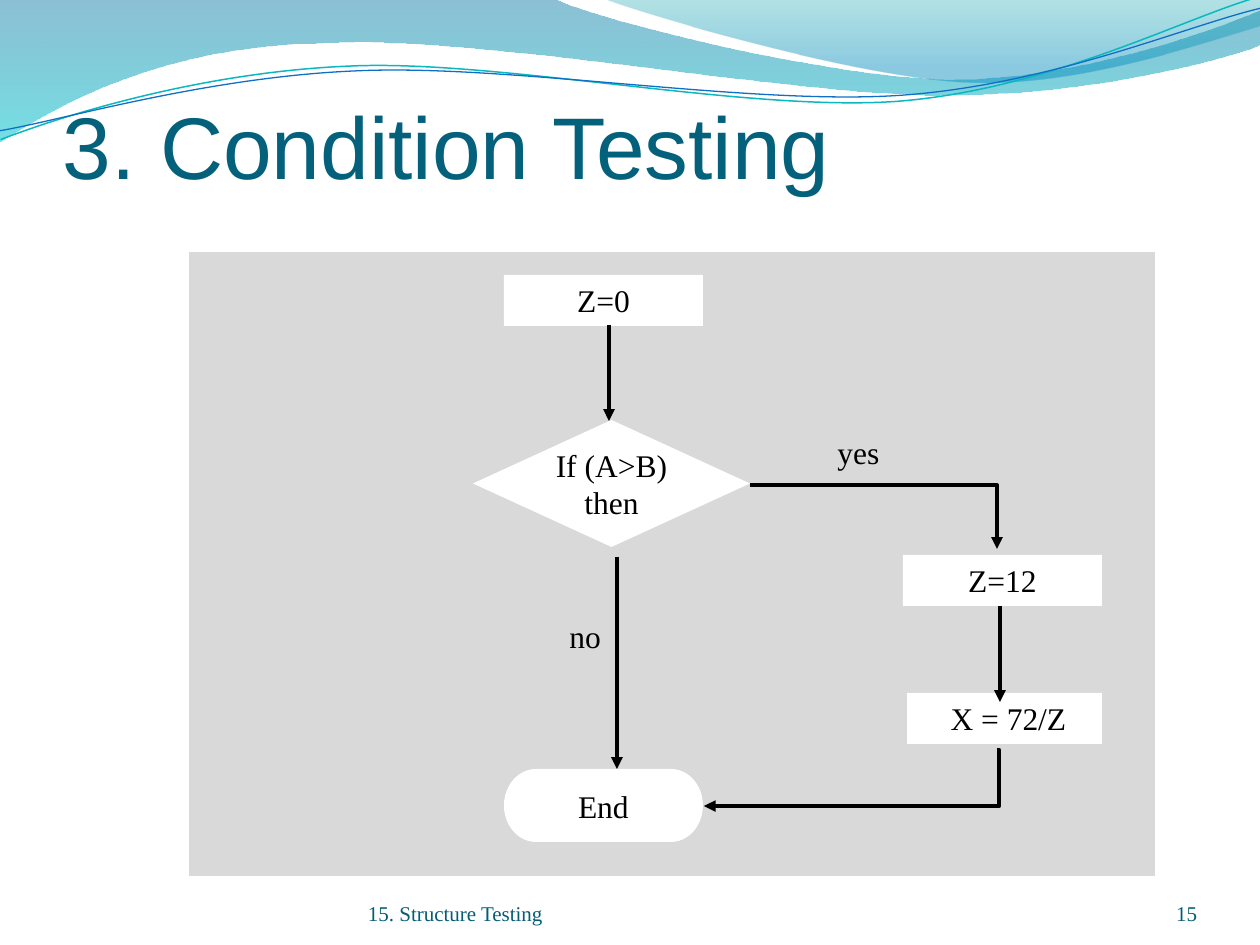
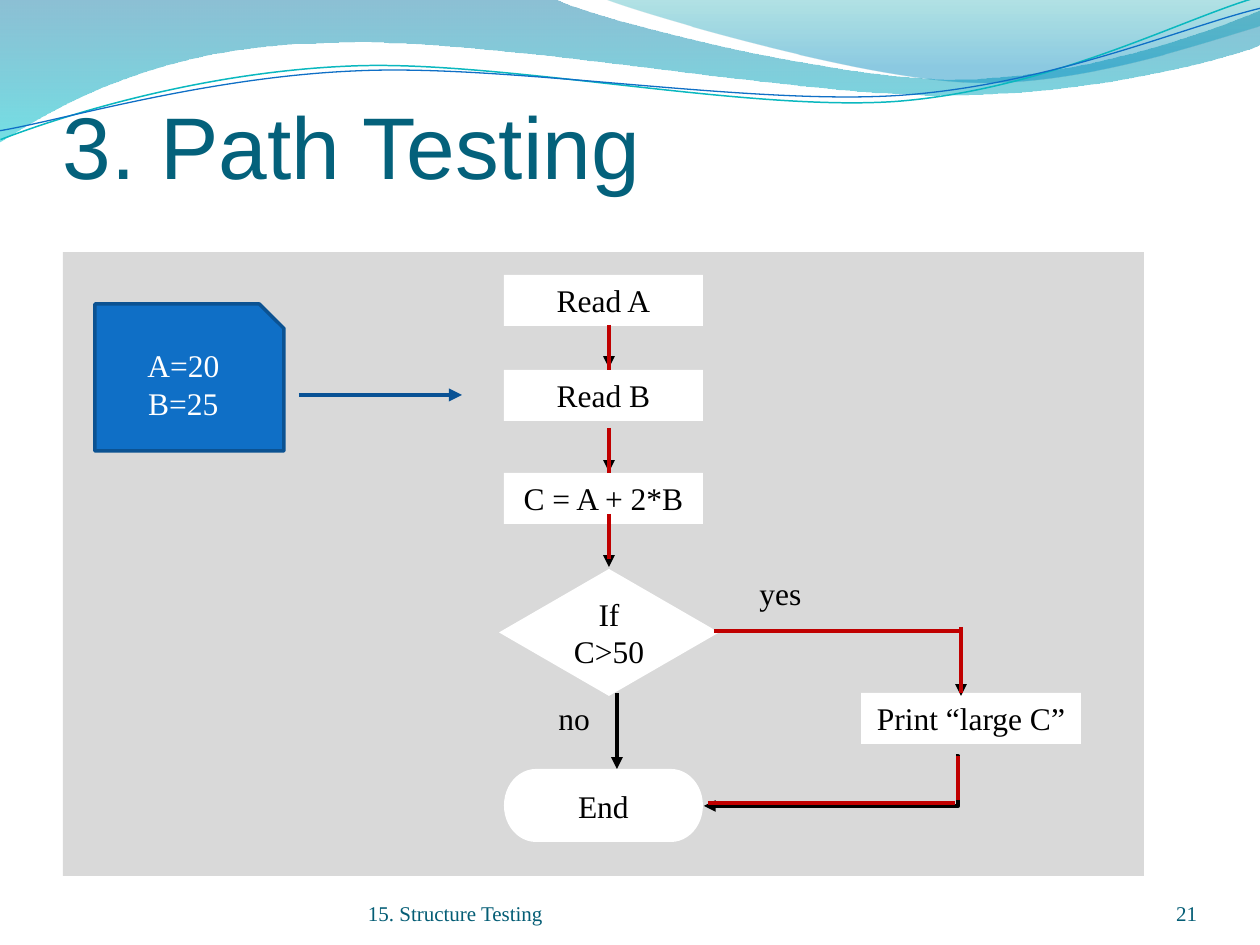
from typing import NamedTuple

from lxml.etree import SubElement
from pptx import Presentation
from pptx.dml.color import RGBColor
from pptx.enum.shapes import MSO_CONNECTOR, MSO_SHAPE
from pptx.enum.text import MSO_ANCHOR, MSO_AUTO_SIZE, PP_ALIGN
from pptx.oxml.ns import qn
from pptx.shapes.autoshape import Shape
from pptx.slide import Slide
from pptx.util import Emu, Pt

PX_PER_INCH = 126
EMU_PER_PX = 914400 / PX_PER_INCH
PAGE_WIDTH, PAGE_HEIGHT = 1260, 945
LINE_TILT = 357.3
HEADING_FONT, BODY_FONT = "Arial", "Times New Roman"
FLOW_LEFT, FLOW_WIDTH, STEP_HEIGHT = 504, 199, 51
FLOW_AXIS = 609
COLORS = {
    "title": "04617B", "footer": "045D75", "panel": "D9D9D9", "node": "FFFFFF",
    "ink": "000000", "covered": "C00000", "card": "0F6FC6", "card edge": "0B5292",
    "input arrow": "095295", "teal line": "0AB8BF", "blue line": "0F6FC6",
    "deep blue": "0074A1", "cyan": "00C6CF", "teal": "00A1A9", "sky": "008BBF",
}


class Area(NamedTuple):
    """A rectangle in px."""
    left: int
    top: int
    width: int
    height: int


class Style(NamedTuple):
    """The look of a piece of text."""
    size: int = 18
    color: str = "ink"
    font: str = BODY_FONT
    align: PP_ALIGN = PP_ALIGN.LEFT


class Stop(NamedTuple):
    """A gradient stop, with opacity in percent."""
    position: float
    color: str
    opacity: int


class Wave(NamedTuple):
    """A header outline: two-number segments are lines, six-number ones are curves."""
    start: tuple[int, int]
    segments: list[tuple[int, ...]]
    stops: tuple[Stop, ...] = ()
    line: str = ""
    weight: float = 0


class Node(NamedTuple):
    """A filled flowchart shape."""
    lines: tuple[str, ...]
    area: Area
    kind: MSO_SHAPE = MSO_SHAPE.RECTANGLE
    fill: str = "node"
    ink: str = "ink"
    edge: str = ""


class Link(NamedTuple):
    """A connector; a bend, in thousandths of its width, makes it an elbow."""
    start: tuple[int, int]
    end: tuple[int, int]
    color: str = "ink"
    weight: float = 2.25
    arrow: bool = True
    bend: int | None = None


class Label(NamedTuple):
    """A branch label beside a link."""
    text: str
    area: Area


class Flowchart(NamedTuple):
    """The content of one slide."""
    title: str
    number: int
    panel: Area
    nodes: list[Node]
    links: list[Link]
    labels: list[Label]


def step(text: str, top: int, left: int = FLOW_LEFT, width: int = FLOW_WIDTH) -> Node:
    """Return a one-line step box."""
    return Node((text,), Area(left, top, width, STEP_HEIGHT))


def decision(text: str, area: Area) -> Node:
    """Return a decision diamond."""
    return Node((text,), area, MSO_SHAPE.DIAMOND)


def down(axis: int, top: int, bottom: int) -> Link:
    """Return a black arrow pointing down."""
    return Link((axis, top), (axis, bottom))


def covered(start: tuple[int, int], end: tuple[int, int]) -> Link:
    """Return a red stretch of the tested route."""
    return Link(start, end, "covered", arrow=False)


WAVES = [
    Wave((-1, -1), [
        (554, -1), (600, 21, 837, 79, 955, 79), (1075, 79, 1207, 33, 1260, 11),
        (1261, 45), (1239, 55, 1096, 96, 940, 95), (784, 95, 481, 35, 324, 43),
        (163, 45, 58, 105, -1, 142), (-1, -1),
    ], (Stop(0, "deep blue", 45), Stop(1, "cyan", 55))),
    Wave((604, -1), [
        (641, 14, 859, 78, 969, 82), (1079, 87, 1211, 40, 1260, 26), (1260, 0),
        (604, -1),
    ], (Stop(0, "teal", 30), Stop(0.8, "sky", 45))),
    Wave((-2, 110), [
        (58, 90, 199, 52, 350, 53), (499, 53, 745, 118, 896, 114),
        (1049, 109, 1184, 45, 1260, 27),
    ], line="teal line", weight=0.85),
    Wave((-2, 101), [
        (58, 94, 207, 57, 357, 58), (509, 58, 751, 112, 902, 108),
        (1052, 104, 1188, 52, 1263, 38),
    ], line="blue line", weight=0.75),
]

END = Node(("End",), Area(FLOW_LEFT, 769, FLOW_WIDTH, 73), MSO_SHAPE.FLOWCHART_TERMINATOR)

FLOWCHARTS = [
    Flowchart(
        "3. Condition Testing", 15, Area(189, 252, 966, 624),
        [
            step("Z=0", 275), step(" X = 72/Z", 693, 907, 195),
            decision("If (A>B) then", Area(473, 420, 277, 127)), END,
            step("Z=12", 555, 903),
        ],
        [
            down(617, 557, 769), down(FLOW_AXIS, 325, 421), down(1000, 606, 702),
            Link((750, 485), (997, 549), bend=1000),
            Link((997, 750), (704, 806), bend=-8),
        ],
        [Label("yes", Area(825, 427, 82, 50)), Label("no", Area(557, 611, 73, 50))],
    ),
    Flowchart(
        "3. Path Testing", 21, Area(63, 252, 1081, 624),
        [
            step("Read A", 275), step("Read B", 370), step("C = A + 2*B", 473),
            step("Print “large C”", 693, 861, 220),
            decision("If C>50", Area(499, 569, 220, 127)), END,
            Node(("A=20", "B=25"), Area(95, 304, 189, 147),
                 MSO_SHAPE.SNIP_1_RECTANGLE, "card", "node", "card edge"),
        ],
        [
            down(617, 693, 769), down(FLOW_AXIS, 325, 368),
            down(FLOW_AXIS, 431, 472), down(FLOW_AXIS, 525, 567),
            Link((714, 631), (961, 696), bend=1000),
            Link((956, 756), (704, 806), bend=-10),
            covered((FLOW_AXIS, 325), (FLOW_AXIS, 370)),
            covered((FLOW_AXIS, 428), (FLOW_AXIS, 473)),
            covered((FLOW_AXIS, 514), (FLOW_AXIS, 559)),
            covered((961, 627), (961, 693)), covered((714, 631), (960, 631)),
            covered((958, 756), (958, 800)), covered((708, 803), (955, 803)),
            Link((299, 395), (462, 395), "input arrow", 2.5),
        ],
        [Label("yes", Area(747, 568, 82, 50)), Label("no", Area(546, 693, 73, 50))],
    ),
]


def px(length: float) -> Emu:
    """Turn px into EMU."""
    return Emu(round(length * EMU_PER_PX))


def rgb(name: str) -> RGBColor:
    """Look up a named colour."""
    return RGBColor.from_string(COLORS[name])


def write(box: Shape, lines: tuple[str, ...], style: Style) -> None:
    """Write one paragraph per line into a shape."""
    frame = box.text_frame
    frame.word_wrap = True
    for index, line in enumerate(lines):
        para = frame.add_paragraph() if index else frame.paragraphs[0]
        para.alignment = style.align
        span = para.add_run()
        span.text = line
        span.font.size = Pt(style.size)
        span.font.name = style.font
        span.font.color.rgb = rgb(style.color)


def add_text(page: Slide, text: str, area: Area, style: Style) -> Shape:
    """Add a text box with one line of text."""
    box = page.shapes.add_textbox(*map(px, area))
    write(box, (text,), style)
    return box


def add_frame_text(page: Slide, text: str, area: Area, style: Style, inset: int = 0) -> None:
    """Add bottom-anchored title or footer text."""
    frame = add_text(page, text, area, style).text_frame
    frame.vertical_anchor = MSO_ANCHOR.BOTTOM
    frame.margin_left = frame.margin_right = frame.margin_bottom = 0
    frame.margin_top = px(inset)


def outline(page: Slide, wave: Wave) -> Shape:
    """Build a wave through its end points, then bend the curved segments."""
    builder = page.shapes.build_freeform(*map(px, wave.start))
    ends = [(px(segment[-2]), px(segment[-1])) for segment in wave.segments]
    builder.add_line_segments(ends, close=bool(wave.stops))
    shape = builder.convert_to_shape()
    sides = list(shape._element.spPr.iter(qn("a:lnTo")))
    for side, segment in zip(sides, wave.segments):
        if len(segment) == 6:
            side.tag = qn("a:cubicBezTo")
            end = side[0]
            for x, y in (segment[:2], segment[2:4]):
                SubElement(side, qn("a:pt"), x=str(px(x) - shape.left), y=str(px(y) - shape.top))
            side.append(end)
    return shape


def add_wave(page: Slide, wave: Wave) -> None:
    """Draw one header wave as a gradient area or a thin tilted line."""
    shape = outline(page, wave)
    shape.shadow.inherit = False
    if not wave.stops:
        shape.rotation = LINE_TILT
        shape.fill.background()
        shape.line.color.rgb = rgb(wave.line)
        shape.line.width = Pt(wave.weight)
        return
    shape.line.fill.background()
    shape.fill.gradient()
    shape.fill.gradient_angle = 270
    for target, stop in zip(shape.fill.gradient_stops, wave.stops):
        target.position = stop.position
        target.color.rgb = rgb(stop.color)
    for tint, stop in zip(shape._element.spPr.iter(qn("a:srgbClr")), wave.stops):
        SubElement(tint, qn("a:alpha"), val=str(stop.opacity * 1000))


def add_node(page: Slide, node: Node) -> None:
    """Draw a flowchart shape with its text."""
    shape = page.shapes.add_shape(node.kind, *map(px, node.area))
    shape.shadow.inherit = False
    shape.fill.solid()
    shape.fill.fore_color.rgb = rgb(node.fill)
    if node.edge:
        shape.line.color.rgb = rgb(node.edge)
        shape.line.width = Pt(2)
    else:
        shape.line.fill.background()
    if node.lines:
        write(shape, node.lines, Style(color=node.ink, align=PP_ALIGN.CENTER))
        is_step = node.kind == MSO_SHAPE.RECTANGLE
        shape.text_frame.vertical_anchor = MSO_ANCHOR.TOP if is_step else MSO_ANCHOR.MIDDLE


def add_link(page: Slide, link: Link) -> None:
    """Draw a straight or elbow connector."""
    kind = MSO_CONNECTOR.STRAIGHT if link.bend is None else MSO_CONNECTOR.ELBOW
    connector = page.shapes.add_connector(kind, *map(px, link.start + link.end))
    connector.line.color.rgb = rgb(link.color)
    connector.line.width = Pt(link.weight)
    properties = connector._element.spPr
    if link.arrow:
        SubElement(properties.find(qn("a:ln")), qn("a:tailEnd"), type="triangle")
    if link.bend is not None:
        guides = next(properties.iter(qn("a:avLst")))
        SubElement(guides, qn("a:gd"), name="adj1", fmla=f"val {link.bend * 100}")
    SubElement(properties, qn("a:effectLst"))


def add_flowchart(page: Slide, chart: Flowchart) -> None:
    """Fill a slide with the shared frame and its flowchart."""
    for wave in WAVES:
        add_wave(page, wave)
    add_frame_text(page, chart.title, Area(63, 84, 1134, 113),
                   Style(50, "title", HEADING_FONT), 6)
    add_frame_text(page, "15. Structure Testing", Area(368, 876, 462, 50), Style(12, "footer"))
    add_frame_text(page, str(chart.number), Area(1092, 876, 105, 50),
                   Style(12, "footer", align=PP_ALIGN.RIGHT))
    add_node(page, Node((), chart.panel, fill="panel"))
    for node in chart.nodes:
        add_node(page, node)
    for link in chart.links:
        add_link(page, link)
    for label in chart.labels:
        box = add_text(page, label.text, label.area, Style())
        box.text_frame.auto_size = MSO_AUTO_SIZE.SHAPE_TO_FIT_TEXT


def main() -> None:
    """Build and save the deck."""
    deck = Presentation()
    deck.slide_width, deck.slide_height = px(PAGE_WIDTH), px(PAGE_HEIGHT)
    for chart in FLOWCHARTS:
        add_flowchart(deck.slides.add_slide(deck.slide_layouts[6]), chart)
    deck.save("out.pptx")


if __name__ == "__main__":
    main()
